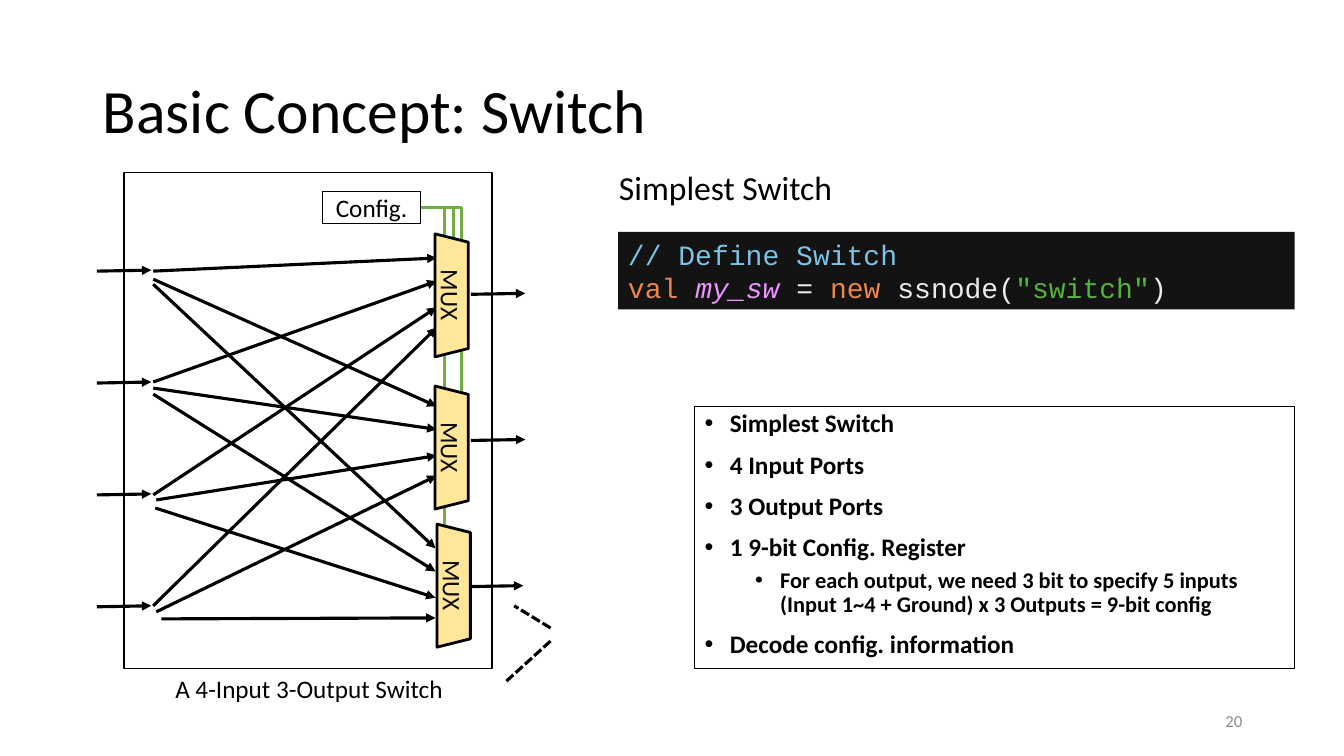
from dataclasses import dataclass

from lxml import etree
from pptx import Presentation, util as u
from pptx.dml.color import RGBColor
from pptx.enum import dml, shapes, text
from pptx.oxml.ns import qn

In, Pt = u.Inches, u.Pt
MID, TOP = text.MSO_ANCHOR.MIDDLE, text.MSO_ANCHOR.TOP
CENTER, RIGHT = text.PP_ALIGN.CENTER, text.PP_ALIGN.RIGHT
RECT = shapes.MSO_SHAPE.RECTANGLE


@dataclass(frozen=True)
class Theme:
    font: str = "Calibri"
    mono: str = "Courier New"
    ink: str = "000000"
    mux_ink: str = "0D0D0D"
    mux: str = "FFE699"
    white: str = "FFFFFF"
    config: str = "70AD47"
    muted: str = "8C8C8C"
    code_bg: str = "131314"
    comment: str = "7EC3E6"
    keyword: str = "ED864A"
    name: str = "ED94FF"
    plain: str = "EBEBEB"
    string: str = "54B33E"
    title: int = 44
    heading: int = 24
    code: int = 20
    body: int = 18
    sub: int = 16
    small: int = 12
    wire: float = 2.25


T = Theme()


def add_run(p, content, size=T.body, color=T.ink, font=T.font, bold=None, italic=None):
    r = p.add_run()
    r.text = content
    f = r.font
    f.size, f.name, f.bold, f.italic = Pt(size), font, bold, italic
    f.color.rgb = RGBColor.from_string(color)


def write(sp, content, align=None, anchor=TOP, wrap=True, **fmt):
    """Write one paragraph into a shape."""
    tf = sp.text_frame
    tf.word_wrap, tf.vertical_anchor = wrap, anchor
    p = tf.paragraphs[0]
    p.alignment = align
    add_run(p, content, **fmt)
    return p


def add_text(s, box, content, **fmt):
    sp = s.shapes.add_textbox(*map(In, box))
    write(sp, content, **fmt)


def add_box(s, kind, box, fill=None, line=None, width=1):
    sp = s.shapes.add_shape(kind, *map(In, box))
    sp.shadow.inherit = False
    if fill:
        sp.fill.solid()
        sp.fill.fore_color.rgb = RGBColor.from_string(fill)
    else:
        sp.fill.background()
    if line:
        sp.line.color.rgb = RGBColor.from_string(line)
        sp.line.width = Pt(width)
    else:
        sp.line.fill.background()
    return sp


def add_wire(s, start, end, color=T.ink, arrow=False, dashed=False, bent=False):
    c = s.shapes.add_connector(shapes.MSO_CONNECTOR.STRAIGHT, *map(In, (*start, *end)))
    c.line.color.rgb = RGBColor.from_string(color)
    c.line.width = Pt(T.wire)
    spPr = c._element.spPr
    if dashed:
        c.line.dash_style = dml.MSO_LINE.SQUARE_DOT
    if bent:
        spPr.find(qn("a:prstGeom")).set("prst", "bentConnector2")
    if arrow:
        etree.SubElement(c.line._get_or_add_ln(), qn("a:tailEnd"), type="triangle")
    etree.SubElement(spPr, qn("a:effectLst"))


def title(s, box, content):
    sp = s.shapes.title
    sp.left, sp.top, sp.width, sp.height = map(In, box)
    p = write(sp, content, text.PP_ALIGN.LEFT, MID, size=T.title)
    p.line_spacing = 0.9
    sp.text_frame.auto_size = text.MSO_AUTO_SIZE.NONE


def switch_diagram(s, box):
    left, top, width, height = box

    def at(x, y):
        return left + x, top + y

    # Config wires that run behind the muxes
    config_out = at(2.94, 0.35)
    for x, y in ((3.18, 3.52), (3.35, 2.19), (3.27, 0.65)):
        add_wire(s, config_out, at(x, y), T.config, bent=True)
    add_box(s, RECT, box, line=T.ink)

    # Input and output ports
    for i in range(4):
        y = 0.98 + 1.11 * i
        add_wire(s, at(-0.27, y), at(0.27, y - 0.01), arrow=True)
    for j, x in enumerate((3.44, 3.44, 3.42)):
        y = 1.21 + 1.45 * j
        add_wire(s, at(x, y), at(x + 0.54, y - 0.01), arrow=True)

    # Every input feeds every mux: mux centre, first pin, wire starts
    muxes = (
        ((3.25, 1.22), (3.1, 0.85), ((0.29, 0.98), (0.29, 2.08), (0.29, 3.2), (0.29, 4.3))),
        ((3.25, 2.73), (3.1, 2.32), ((0.29, 1.06), (0.29, 2.14), (0.32, 3.25), (0.32, 4.36))),
        ((3.27, 4.1), (3.09, 3.73), ((0.29, 1.11), (0.29, 2.2), (0.31, 3.33), (0.37, 4.43))),
    )
    for _, (x, y), starts in muxes:
        for start, dy in zip(starts, (0, 0.23, 0.49, 0.69)):
            add_wire(s, at(*start), at(x, y + dy), arrow=True)

    # Muxes and config register
    length, depth = 1.22, 0.33
    for (x, y), _, _ in muxes:
        sp = add_box(s, shapes.MSO_SHAPE.TRAPEZOID,
                     (*at(x - length / 2, y - depth / 2), length, depth), T.mux, T.ink, 2)
        sp.rotation = 90
        write(sp, "MUX", CENTER, MID, color=T.mux_ink)
    sp = add_box(s, RECT, (*at(1.97, 0.19), 0.97, 0.32), T.white, T.ink)
    write(sp, "Config.", CENTER, MID)

    # Dashed marks and caption
    add_wire(s, at(4.23, 4.65), at(3.79, 5.05), dashed=True)
    add_wire(s, at(4.23, 4.52), at(3.87, 4.3), dashed=True)
    add_text(s, (*at(0.41, height), 2.87, 0.4), "A 4-Input 3-Output Switch", wrap=False)


def code_panel(s, box):
    left, top, width, height = box
    add_text(s, (left - 0.09, top - 0.69, 2.34, 0.5), "Simplest Switch",
             size=T.heading, wrap=False)
    sp = add_box(s, RECT, box, T.code_bg)
    code = dict(size=T.code, font=T.mono)
    p = write(sp, "// Define Switch", text.PP_ALIGN.LEFT, MID, color=T.comment, **code)
    p.add_line_break()
    for content, color in (("val ", T.keyword), ("my_sw ", T.name), ("= ", T.plain),
                           ("new ", T.keyword), ("ssnode(", T.plain),
                           ('"switch"', T.string), (")", T.plain)):
        add_run(p, content, color=color, italic=color == T.name, **code)


def bullet_panel(s, box, items):
    sp = s.shapes.add_textbox(*map(In, box))
    sp.line.color.rgb = RGBColor.from_string(T.ink)
    sp.line.width = Pt(0.75)
    tf = sp.text_frame
    tf.word_wrap = True
    for i, (level, content) in enumerate(items):
        p = tf.paragraphs[0] if i == 0 else tf.add_paragraph()
        p.level, p.line_spacing = level, 0.9
        if i:
            p.space_before = Pt(5 if level else 10)
        pPr = p._p.get_or_add_pPr()
        pPr.set("marL", str(In(0.25 + 0.5 * level)))
        pPr.set("indent", str(In(-0.25)))
        etree.SubElement(pPr, qn("a:buFont"), typeface="Arial")
        etree.SubElement(pPr, qn("a:buChar"), char="•")
        add_run(p, content, size=T.sub if level else T.body, bold=True)


def main():
    prs = Presentation()
    prs.slide_width, prs.slide_height = In(13.33), In(7.5)
    s = prs.slides.add_slide(prs.slide_layouts.get_by_name("Title Only"))
    title(s, (0.92, 0.4, 11.5, 1.45), "Basic Concept: Switch")
    switch_diagram(s, (1.23, 1.71, 3.65, 4.92))
    code_panel(s, (6.13, 2.3, 6.71, 0.77))
    bullet_panel(s, (6.89, 4.03, 5.95, 2.6), (
        (0, "Simplest Switch"),
        (0, "4 Input Ports"),
        (0, "3 Output Ports"),
        (0, "1 9-bit Config. Register"),
        (1, "For each output, we need 3 bit to specify 5 inputs "
            "(Input 1~4 + Ground) x 3 Outputs = 9-bit config"),
        (0, "Decode config. information"),
    ))
    # Slide number
    add_text(s, (9.42, 6.95, 3, 0.4), "20", align=RIGHT, anchor=MID,
             size=T.small, color=T.muted)
    prs.save("out.pptx")


if __name__ == "__main__":
    main()
